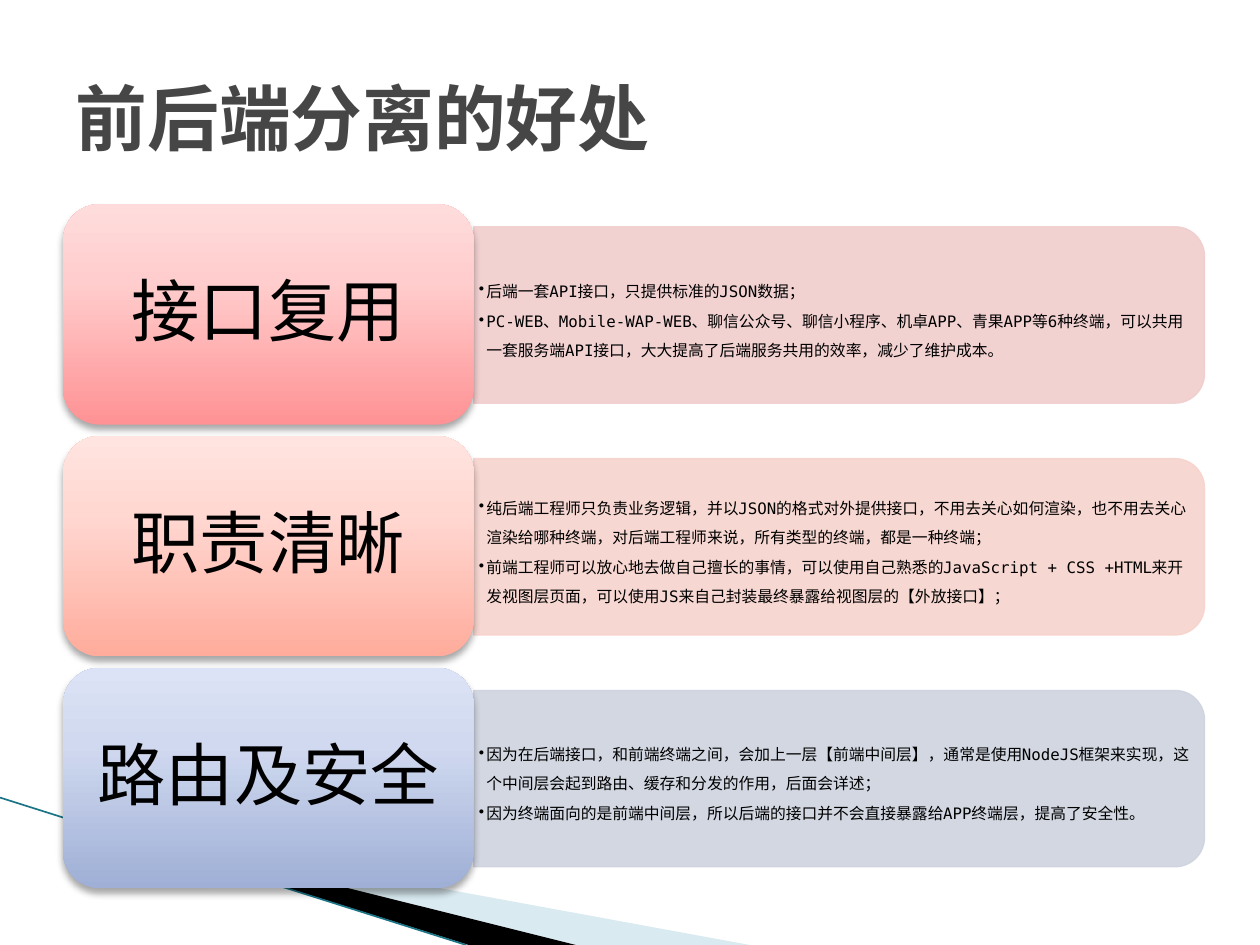
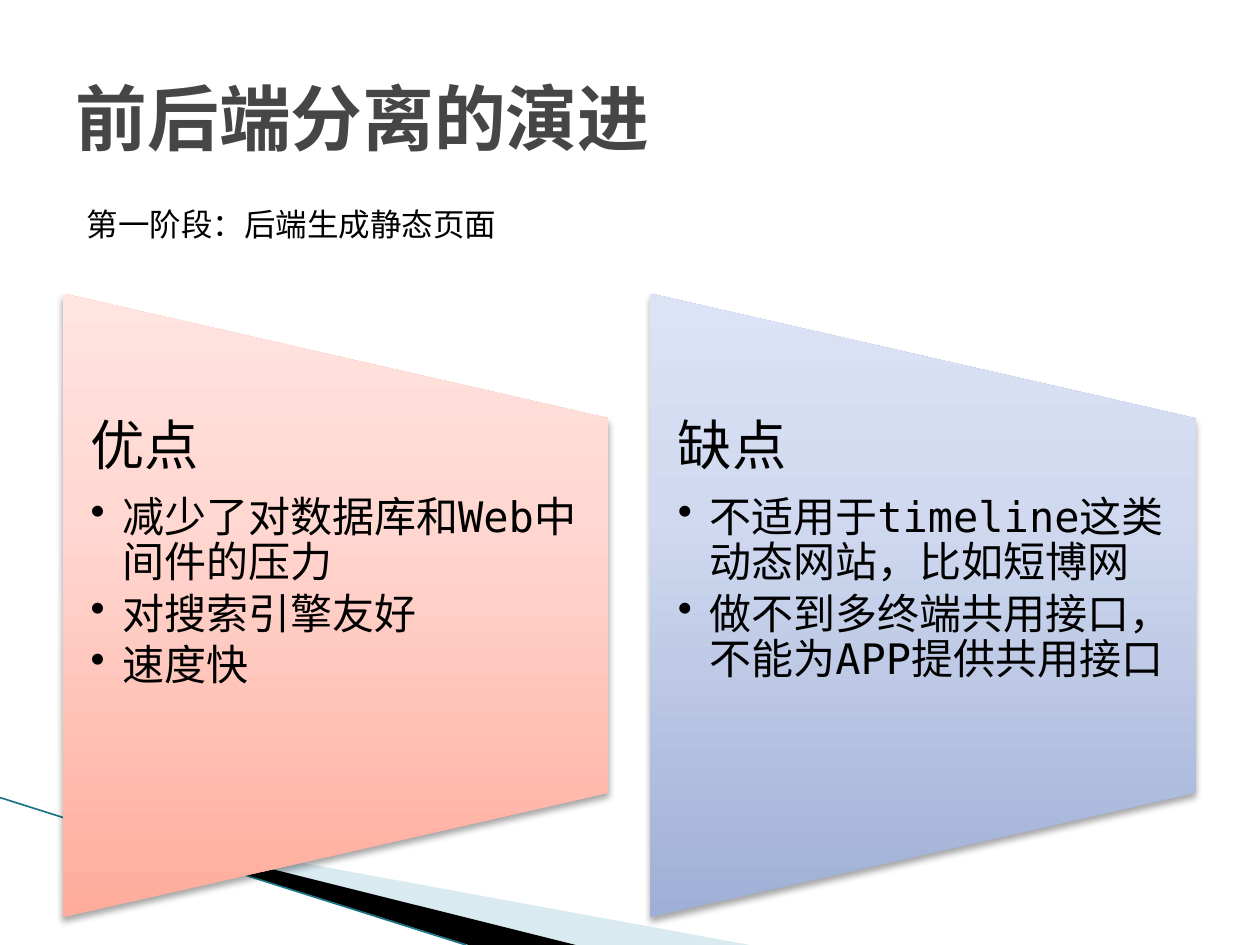
from lxml.etree import fromstring, SubElement
from pptx import Presentation
from pptx.dml.color import RGBColor
from pptx.enum.shapes import MSO_CONNECTOR, MSO_SHAPE
from pptx.enum.text import MSO_ANCHOR, PP_ALIGN
from pptx.oxml.ns import nsdecls, qn
from pptx.util import Inches, Pt

FONT = "DejaVu Sans Mono"
BLACK = RGBColor(0, 0, 0)
GREY = RGBColor(0x46, 0x46, 0x46)
SKY = RGBColor(0xA0, 0xCB, 0xDC)
TEAL = RGBColor(0x1B, 0x75, 0x87)
PINK = RGBColor(0xF1, 0xCD, 0xCD)
PEACH = RGBColor(0xF7, 0xD3, 0xCD)
MIST = RGBColor(0xCE, 0xD3, 0xDF)
# Gradient stops run from the bottom to the top of a shape
ROSE = ("FF9294", "FFCDCD", "FFDCDC")
CORAL = ("FFAC9C", "FFD8D2", "FFE4DF")
BLUE = ("9FAFD6", "D0D9EF", "DCE3F6")


def paint(shape, stops):
    """Give the shape an upright three-stop gradient and a soft shadow."""
    shape.line.fill.background()
    marks = "".join(
        f'<a:gs pos="{pos}"><a:srgbClr val="{hue}"/></a:gs>'
        for pos, hue in zip((0, 65000, 100000), stops))
    props = shape._element.spPr
    props.insert(2, fromstring(
        f'<a:gradFill {nsdecls("a")} rotWithShape="0"><a:gsLst>{marks}</a:gsLst>'
        '<a:lin ang="16200000" scaled="0"/></a:gradFill>'))
    props.append(fromstring(
        f'<a:effectLst {nsdecls("a")}><a:outerShdw blurRad="{Pt(4)}" dist="{Pt(3)}" '
        'dir="5400000" rotWithShape="0"><a:srgbClr val="000000">'
        '<a:alpha val="35000"/></a:srgbClr></a:outerShdw></a:effectLst>'))


def write(shape, lines, size, inset=(0.1, 0.05), anchor=MSO_ANCHOR.TOP, wrap=True,
          align=PP_ALIGN.LEFT, space=1, after=0, indent=0, color=BLACK, bold=False):
    """Append lines to the shape's text; an indent makes them bullets."""
    frame = shape.text_frame
    across, down = map(Inches, inset)
    form = dict(word_wrap=wrap, vertical_anchor=anchor, margin_left=across,
                margin_right=across, margin_top=down, margin_bottom=down)
    for name, value in form.items():
        setattr(frame, name, value)
    for line in lines:
        para = frame.add_paragraph() if frame.text else frame.paragraphs[0]
        form = dict(text=line, alignment=align, line_spacing=space,
                    space_before=Pt(0), space_after=Pt(after * size))
        for name, value in form.items():
            setattr(para, name, value)
        font = para.runs[0].font
        for name, value in dict(name=FONT, size=Pt(size), bold=bold).items():
            setattr(font, name, value)
        font.color.rgb = color
        if indent:
            para.level = 1
            props = para._p.get_or_add_pPr()
            props.set("marL", str(Inches(indent)))
            props.set("indent", str(-Inches(indent)))
            SubElement(props, qn("a:buChar"), char="•")


deck = Presentation()
deck.slide_width, deck.slide_height = Inches(10), Inches(7.5)

# Shared title and corner bands
bands = [
    (SKY, 40, [(0.55, 6.51), (5.95, 7.5), (4.56, 7.5), (0.55, 6.5)]),
    (BLACK, 100, [(0.53, 6.49), (4.57, 7.5), (3.72, 7.5), (0.54, 6.5)]),
]
slides = []
for head in ("前后端分离的好处", "前后端分离的演进"):
    slide = deck.slides.add_slide(deck.slide_layouts[5])
    slides.append(slide)
    title = slide.shapes.title
    title.left, title.top, title.width, title.height = map(Inches, (0.5, 0.3, 9, 1.25))
    write(title, [head], 41, anchor=MSO_ANCHOR.MIDDLE, color=GREY, bold=True)
    for color, alpha, points in bands:
        pen = slide.shapes.build_freeform(*map(Inches, points[0]))
        pen.add_line_segments([tuple(map(Inches, point)) for point in points[1:]])
        band = pen.convert_to_shape()
        band.shadow.inherit = False
        band.line.fill.background()
        band.fill.solid()
        band.fill.fore_color.rgb = color
        hue = band._element.spPr.find(".//" + qn("a:srgbClr"))
        SubElement(hue, qn("a:alpha"), val=str(alpha * 1000))
    edge = slide.shapes.add_connector(
        MSO_CONNECTOR.STRAIGHT, *map(Inches, (0, 6.33, 3.7, 7.5)))
    edge.line.color.rgb = TEAL
    edge.line.width = Pt(0.95)
    SubElement(edge._element.spPr, qn("a:effectLst"))
gains, stage = slides

# Benefits: a label and a panel per row
rows = [
    ("接口复用", ROSE, PINK, [
        "后端一套API接口，只提供标准的JSON数据；",
        "PC-WEB、Mobile-WAP-WEB、聊信公众号、聊信小程序、机卓APP、青果APP等6种终端，"
        "可以共用一套服务端API接口，大大提高了后端服务共用的效率，减少了维护成本。"]),
    ("职责清晰", CORAL, PEACH, [
        "纯后端工程师只负责业务逻辑，并以JSON的格式对外提供接口，不用去关心如何渲染，"
        "也不用去关心渲染给哪种终端，对后端工程师来说，所有类型的终端，都是一种终端；",
        "前端工程师可以放心地去做自己擅长的事情，可以使用自己熟悉的JavaScript + CSS +HTML"
        "来开发视图层页面，可以使用JS来自己封装最终暴露给视图层的【外放接口】；"]),
    ("路由及安全", BLUE, MIST, [
        "因为在后端接口，和前端终端之间，会加上一层【前端中间层】，通常是使用NodeJS框架来实现，"
        "这个中间层会起到路由、缓存和分发的作用，后面会详述；",
        "因为终端面向的是前端中间层，所以后端的接口并不会直接暴露给APP终端层，提高了安全性。"]),
]
for row, (name, stops, tint, points) in enumerate(rows):
    top = 1.62 + 1.84 * row
    panel = gains.shapes.add_shape(
        MSO_SHAPE.ROUND_2_SAME_RECTANGLE, *map(Inches, (5.96, top - 2.02, 1.4, 5.8)))
    panel.rotation = 90
    panel.shadow.inherit = False
    panel.fill.solid()
    panel.fill.fore_color.rgb = panel.line.color.rgb = tint
    panel.line.width = Pt(0.75)
    for hue in panel._element.spPr.iter(qn("a:srgbClr")):
        SubElement(hue, qn("a:alpha"), val="90000")
    note = gains.shapes.add_textbox(*map(Inches, (3.76, top + 0.25, 5.73, 1.27)))
    write(note, points, 9, inset=(0.04, 0.02), anchor=MSO_ANCHOR.MIDDLE,
          space=1.5, after=0.15, indent=0.06)
    label = gains.shapes.add_shape(
        MSO_SHAPE.ROUNDED_RECTANGLE, *map(Inches, (0.5, top, 3.26, 1.75)))
    paint(label, stops)
    write(label, [name], 39, inset=(0.16, 0.08), anchor=MSO_ANCHOR.MIDDLE,
          align=PP_ALIGN.CENTER, space=0.9)

# First stage: pros and cons
intro = stage.shapes.add_textbox(*map(Inches, (0.59, 1.58, 3.48, 0.4)))
write(intro, ["第一阶段：后端生成静态页面"], 18, wrap=False)
sides = [
    ("优点", CORAL, ["减少了对数据库和Web中间件的压力", "对搜索引擎友好", "速度快"]),
    ("缺点", BLUE, ["不适用于timeline这类动态网站，比如短博网",
                  "做不到多终端共用接口，不能为APP提供共用接口"]),
]
for col, (name, stops, points) in enumerate(sides):
    left = 0.5 + 4.66 * col
    wing = stage.shapes.add_shape(
        MSO_SHAPE.FLOWCHART_MANUAL_OPERATION, *map(Inches, (left - 0.31, 2.64, 4.95, 4.33)))
    wing.rotation = 270
    paint(wing, stops)
    body = stage.shapes.add_textbox(*map(Inches, (left, 3.32, 4.33, 2.97)))
    form = dict(inset=(0.22, 0), space=0.9)
    write(body, [name], 31, after=0.35, **form)
    write(body, points, 24, after=0.15, indent=0.25, **form)

deck.save("out.pptx")
